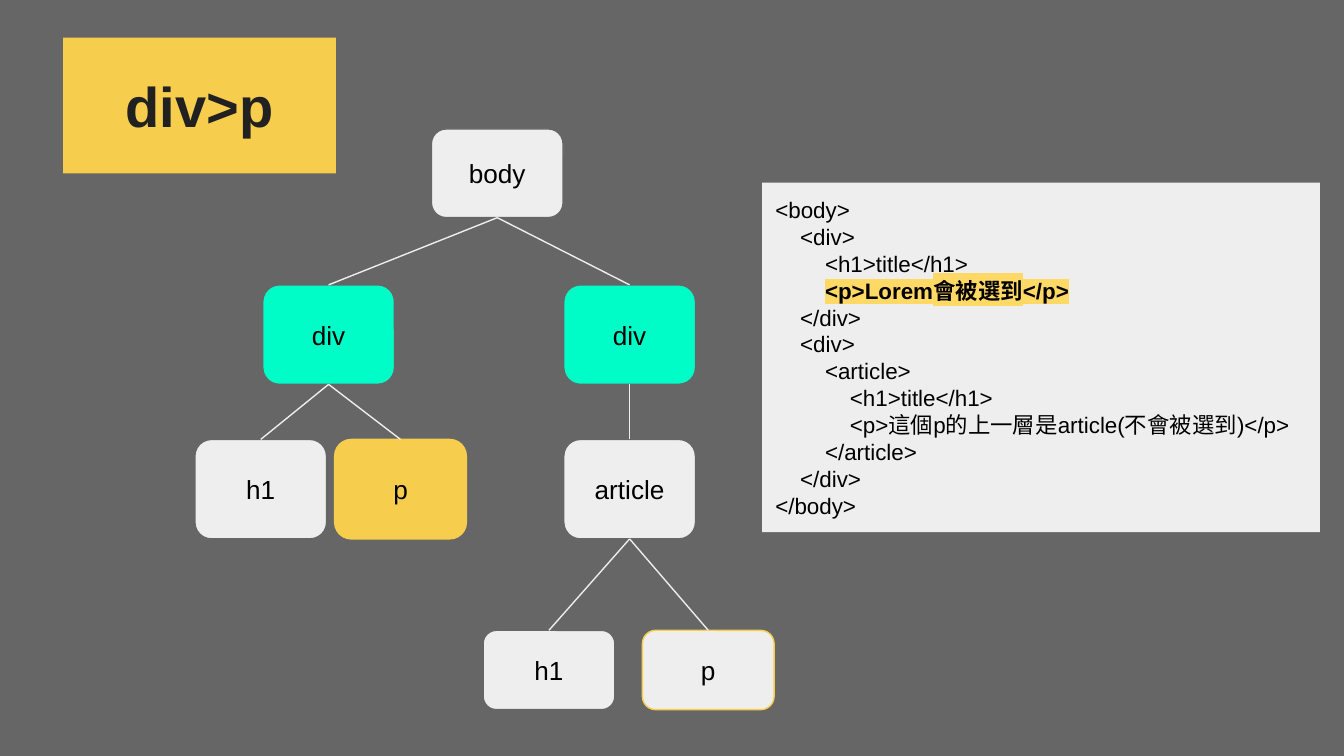
from lxml import etree
from pptx import Presentation
from pptx.dml.color import RGBColor
from pptx.enum.shapes import MSO_CONNECTOR as Link, MSO_SHAPE as Shape
from pptx.enum.text import MSO_ANCHOR as Anchor, PP_ALIGN as Align
from pptx.oxml.ns import qn
from pptx.util import Pt

PX = 4572  # 200 px to the inch
COLORS = {
    "page": "666666", "light": "EEEEEE", "match": "00FDC8", "yellow": "F6CD4C",
    "black": "000000", "title": "212121", "highlight": "FFD966",
}


def color(name):
    return RGBColor.from_string(COLORS[name])


def add_box(kind, left, top, width, height, fill, line=None):
    box = page.shapes.add_shape(kind, left * PX, top * PX, width * PX, height * PX)
    box.shadow.inherit = False
    box.fill.solid()
    box.fill.fore_color.rgb = color(fill)
    if line:
        box.line.color.rgb = color(line)
        box.line.width = Pt(0.75)
    else:
        box.line.fill.background()
    frame = box.text_frame
    frame.word_wrap = True
    frame.vertical_anchor = Anchor.MIDDLE
    frame.margin_left = frame.margin_right = 20 * PX
    frame.margin_top = frame.margin_bottom = 20 * PX
    return box


deck = Presentation()
deck.slide_width, deck.slide_height = 2000 * PX, 1125 * PX
page = deck.slides.add_slide(deck.slide_layouts[6])
page.background.fill.solid()
page.background.fill.fore_color.rgb = color("page")

# Title
title = add_box(Shape.RECTANGLE, 94, 56, 406, 202, "yellow")
title.text_frame.text = "div>p"
labels = [(title, 30, "title", True)]

# Tree nodes: key, label, left, top, height, fill, line, parent
NODES = [
    ("body", "body", 642, 192, 132, "light", "page", None),
    ("left div", "div", 391, 424, 148, "match", "page", "body"),
    ("right div", "div", 839, 424, 148, "match", "page", "body"),
    ("left h1", "h1", 290, 654, 148, "light", "page", "left div"),
    ("left p", "p", 498, 654, 148, "yellow", "yellow", "left div"),
    ("article", "article", 839, 654, 148, "light", "page", "right div"),
    ("article h1", "h1", 719, 938, 118, "light", "page", "article"),
    ("article p", "p", 956, 938, 118, "light", "yellow", "article"),
]
nodes = {}
for key, label, left, top, height, fill, line, parent in NODES:
    node = add_box(Shape.ROUNDED_RECTANGLE, left, top, 196, height, fill, line)
    node.text_frame.text = label
    nodes[key] = node
    labels.append((node, 14, "black", False))

    # Branch from the top of the node to the bottom of its parent
    if parent:
        branch = page.shapes.add_connector(Link.STRAIGHT, 0, 0, 0, 0)
        branch.begin_connect(node, 0)
        branch.end_connect(nodes[parent], 2)
        branch.line.color.rgb = color("light")
        branch.line.width = Pt(0.75)
        etree.SubElement(branch.element.spPr, qn("a:effectLst"))

# Centred labels
for box, size, ink, bold in labels:
    para = box.text_frame.paragraphs[0]
    para.alignment = Align.CENTER
    font = para.runs[0].font
    font.name, font.size, font.bold = "Arial", Pt(size), bold
    font.color.rgb = color(ink)

# Code listing: nesting level, text
CODE = [
    (0, "<body>"),
    (1, "<div>"),
    (2, "<h1>title</h1>"),
    (2, "<p>Lorem會被選到</p>"),
    (1, "</div>"),
    (1, "<div>"),
    (2, "<article>"),
    (3, "<h1>title</h1>"),
    (3, "<p>這個p的上一層是article(不會被選到)</p>"),
    (2, "</article>"),
    (1, "</div>"),
    (0, "</body>"),
]
SELECTED = 3
code = add_box(Shape.RECTANGLE, 1134, 272, 830, 520, "light")
for index, (level, text) in enumerate(CODE):
    frame = code.text_frame
    para = frame.add_paragraph() if index else frame.paragraphs[0]
    para.text = text
    para.alignment = Align.LEFT
    para.line_spacing = Pt(14.4)
    # First-line indent, so a wrapped line returns to the margin
    properties = para._p.get_or_add_pPr()
    properties.set("marL", "0")
    properties.set("indent", str(level * 37 * PX))
    span = para.runs[0]
    span.font.name, span.font.size = "Arial", Pt(12)
    span.font.color.rgb = color("black")
    if index == SELECTED:
        span.font.bold = True
        highlight = etree.Element(qn("a:highlight"))
        etree.SubElement(highlight, qn("a:srgbClr"), val=COLORS["highlight"])
        span._r.rPr.find(qn("a:solidFill")).addnext(highlight)

deck.save("out.pptx")
